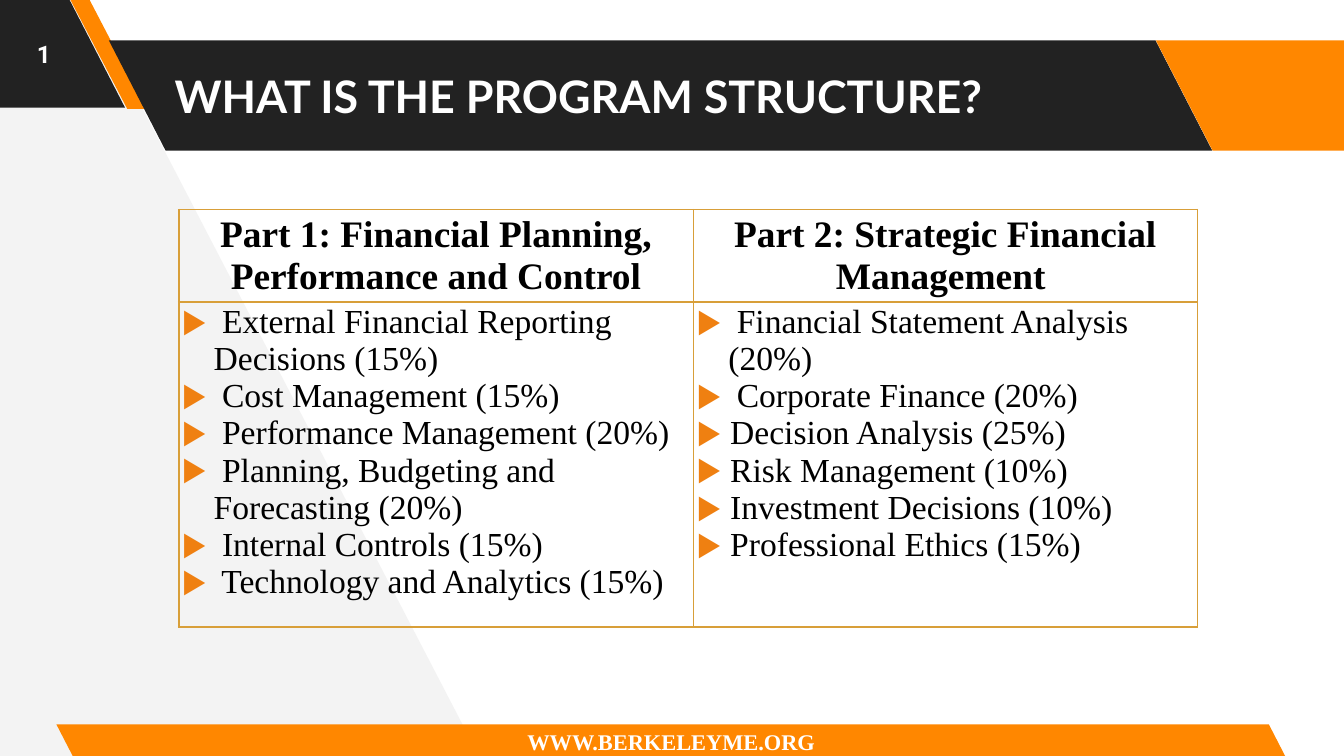
from pptx import Presentation
from pptx.dml.color import RGBColor
from pptx.enum.shapes import MSO_SHAPE
from pptx.enum.text import MSO_ANCHOR, PP_ALIGN
from pptx.oxml.ns import qn
from pptx.util import Inches, Pt
from lxml.etree import SubElement

DARK = RGBColor(0x22, 0x22, 0x22)
ORANGE = RGBColor(0xFF, 0x87, 0x00)
PALE = RGBColor(0xF3, 0xF3, 0xF3)
WHITE = RGBColor(0xFF, 0xFF, 0xFF)
BLACK = RGBColor(0x00, 0x00, 0x00)
GOLD = RGBColor(0xD8, 0x9F, 0x39)
BULLET = RGBColor(0xEF, 0x80, 0x11)
SERIF = "Times New Roman"
SANS = "Roboto"
PLAIN = "{2D5ABB26-0587-4C30-8999-92F81FD0307C}"  # table style without grid

# Each part: heading, then topics with their hanging indent in inches
PARTS = [
    ("Part 1: Financial Planning, Performance and Control", [
        ("External Financial Reporting Decisions (15%)", 0.25),
        ("Cost Management (15%)", 0.25),
        ("Performance Management (20%)", 0.25),
        ("Planning, Budgeting and Forecasting (20%)", 0.25),
        ("Internal Controls (15%)", 0.25),
        ("Technology and Analytics (15%)", 0.25)]),
    ("Part 2: Strategic Financial Management ", [
        ("Financial Statement Analysis (20%)", 0.25),
        ("Corporate Finance (20%)", 0.25),
        ("Decision Analysis (25%)", 0.14),
        ("Risk Management (10%)", 0.14),
        ("Investment Decisions (10%)", 0.14),
        ("Professional Ethics (15%)", 0.14)]),
]


def style(para, text, name, size, color, bold=True, align=PP_ALIGN.LEFT):
    para.text = text
    para.alignment = align
    font = para.font
    font.name, font.size, font.bold = name, Pt(size), bold
    font.color.rgb = color


def write(shape, text, name, size, align=PP_ALIGN.CENTER):
    frame = shape.text_frame
    frame.word_wrap = True
    frame.vertical_anchor = MSO_ANCHOR.MIDDLE
    frame.margin_left = frame.margin_right = Inches(0.1)
    frame.margin_top = frame.margin_bottom = Inches(0.1)
    style(frame.paragraphs[0], text, name, size, WHITE, align=align)


def paint(shape, color):
    shape.shadow.inherit = False
    shape.fill.solid()
    shape.fill.fore_color.rgb = color
    shape.line.fill.background()


def add_slant(slide, box, color, slope=0.515):
    shape = slide.shapes.add_shape(MSO_SHAPE.PARALLELOGRAM, *map(Inches, box))
    shape.adjustments[0] = slope
    shape.element.spPr.find(qn("a:xfrm")).set("flipH", "1")
    paint(shape, color)
    return shape


def add_label(slide, box, *args):
    write(slide.shapes.add_textbox(*map(Inches, box)), *args)


def add_wedge(slide, left, top, width, height):
    pen = slide.shapes.build_freeform(
        Inches(left + width), Inches(top + height - 0.04))
    pen.add_line_segments([
        (Inches(left + 0.68), Inches(top)),
        (Inches(left), Inches(top)),
        (Inches(left + 0.04), Inches(top + height))])
    paint(pen.convert_to_shape(), PALE)


def add_header(slide, left, top, width, height):
    # Number tab and its orange edge
    add_slant(slide, (left - 0.99, top - 0.32, 1.92, height), DARK)
    add_slant(slide, (left + 0.52, top - 0.31, 0.57, height), ORANGE, 0.75)
    # Title band
    add_slant(slide, (left + 0.81, top, width - 1.79, height), DARK)
    add_slant(slide, (left + width - 1.4, top, 1.92, height), ORANGE)
    add_label(slide, (left + 1.2, top, width - 1.72, height),
              "WHAT IS THE PROGRAM STRUCTURE?", "Lato", 24, PP_ALIGN.LEFT)
    add_label(slide, (left, top - 0.3, 0.65, 0.8), "1", SANS, 13)


def add_footer(slide, *box):
    write(add_slant(slide, box, ORANGE), "WWW.BERKELEYME.ORG", SERIF, 12)


def add_bullet(para, indent):
    props = para._p.get_or_add_pPr()
    props.set("marL", str(Inches(indent)))
    props.set("indent", str(-Inches(indent)))
    tint = SubElement(props, qn("a:buClr"))
    SubElement(tint, qn("a:srgbClr"), val=str(BULLET))
    SubElement(props, qn("a:buSzPct"), val="150000")
    SubElement(props, qn("a:buFont"), typeface=SANS)
    SubElement(props, qn("a:buChar"), char="‣")


def frame_cell(cell):
    cell.margin_left = cell.margin_right = Inches(0.01)
    cell.margin_top = cell.margin_bottom = Inches(0.01)
    props = cell._tc.get_or_add_tcPr()
    for side in ("lnL", "lnR", "lnT", "lnB"):
        line = SubElement(props, qn("a:" + side), w=str(Pt(1)))
        fill = SubElement(line, qn("a:solidFill"))
        SubElement(fill, qn("a:srgbClr"), val=str(GOLD))
        SubElement(line, qn("a:prstDash"), val="solid")
    cell.fill.background()


def add_parts(slide, left, top, width, height):
    box = map(Inches, (left, top, width, height))
    holder = slide.shapes.add_table(2, len(PARTS), *box)
    table = holder.table
    table.first_row = table.horz_banding = False
    table._tbl.tblPr.find(qn("a:tableStyleId")).text = PLAIN
    table.columns[0].width = Inches(3.83)
    table.columns[1].width = Inches(width - 3.83)
    # Rows grow to fit their text
    table.rows[0].height = Inches(0.19)
    table.rows[1].height = Inches(0.98)
    holder.height = Inches(height)
    for col, (title, topics) in enumerate(PARTS):
        head, body = table.cell(0, col), table.cell(1, col)
        frame_cell(head)
        frame_cell(body)
        head.vertical_anchor = MSO_ANCHOR.MIDDLE
        style(head.text_frame.paragraphs[0], title, SERIF, 20, BLACK,
              align=PP_ALIGN.CENTER)
        frame = body.text_frame
        for row, (topic, indent) in enumerate(topics):
            para = frame.add_paragraph() if row else frame.paragraphs[0]
            add_bullet(para, indent)
            style(para, " " + topic, SERIF, 18, BLACK, bold=False)


def main():
    deck = Presentation()
    deck.slide_width = Inches(10)
    deck.slide_height = deck.slide_width * 9 // 16
    slide = deck.slides.add_slide(deck.slide_layouts[6])
    add_wedge(slide, -0.06, -0.04, 3.62, 5.7)
    add_header(slide, 0, 0.3, 10, 0.82)
    add_footer(slide, 0.42, 5.39, 9.15, 0.25)
    add_parts(slide, 1.33, 1.56, 7.58, 3.12)
    deck.save("out.pptx")


if __name__ == "__main__":
    main()
